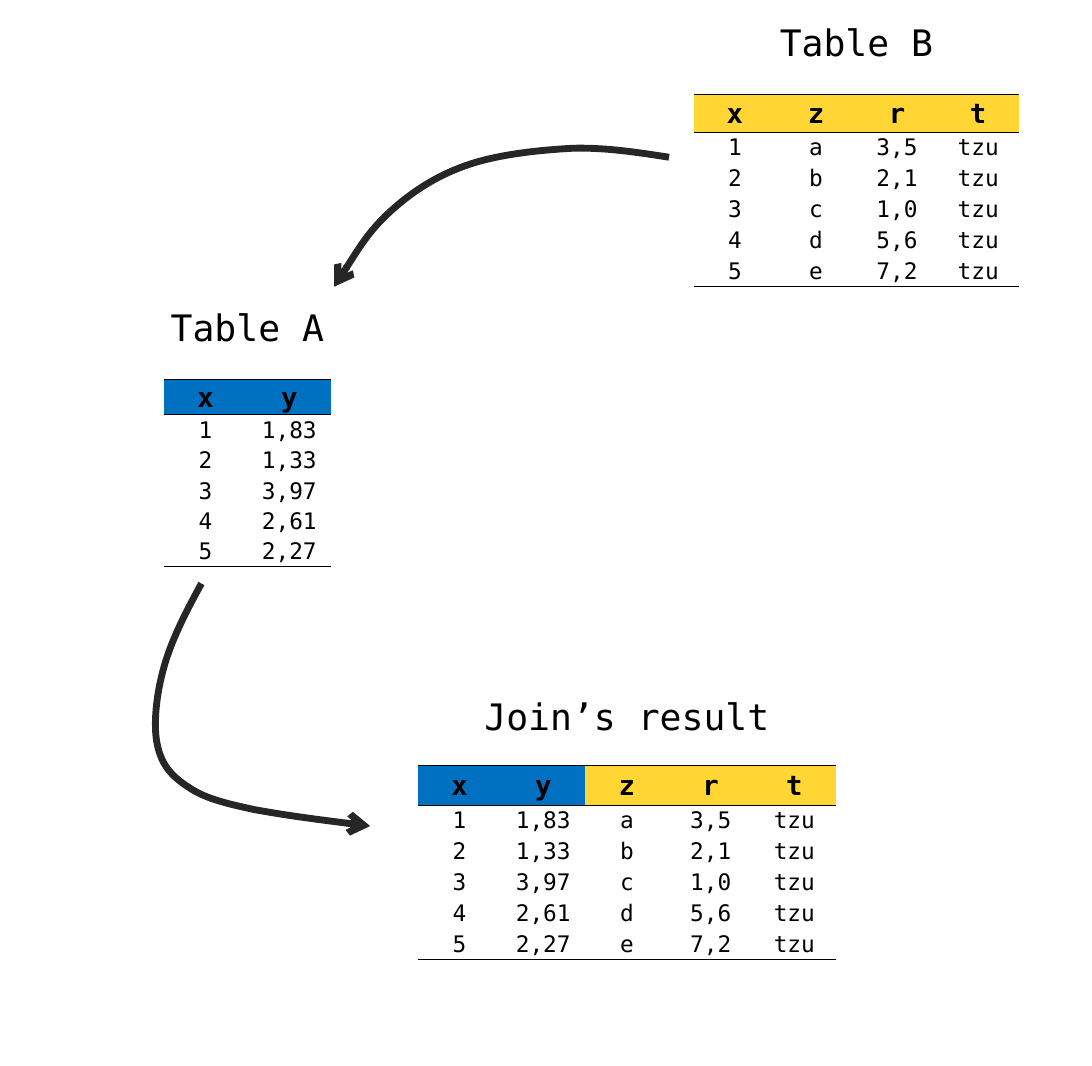
from dataclasses import dataclass

from lxml.etree import SubElement
from pptx import Presentation
from pptx.dml.color import RGBColor
from pptx.enum.text import MSO_ANCHOR, MSO_AUTO_SIZE, PP_ALIGN
from pptx.oxml.ns import qn
from pptx.util import Pt

FONT = "DejaVu Sans Mono"
BLACK, BLUE, GOLD, DARK = "000000", "0070C0", "FFD633", "262626"
Point = tuple[float, float]


@dataclass
class Grid:
    title: str
    left: float
    top: float
    gap: float
    col: float
    head: float
    row: float
    fills: list[str]
    cells: list[list[str]]


@dataclass
class Arrow:
    points: list[Point]


LEFT = [
    ["x", "y"],
    ["1", "1,83"],
    ["2", "1,33"],
    ["3", "3,97"],
    ["4", "2,61"],
    ["5", "2,27"],
]
RIGHT = [
    ["x", "z", "r", "t"],
    ["1", "a", "3,5", "tzu"],
    ["2", "b", "2,1", "tzu"],
    ["3", "c", "1,0", "tzu"],
    ["4", "d", "5,6", "tzu"],
    ["5", "e", "7,2", "tzu"],
]
JOINED = [a + b[1:] for a, b in zip(LEFT, RIGHT)]

GRIDS = [
    Grid("Table A", 143.8, 333.5, 69, 73.7, 31.1, 26.65, [BLUE] * 2, LEFT),
    Grid("Table B", 610.4, 82.9, 69, 71.3, 33.1, 27.1, [GOLD] * 4, RIGHT),
    Grid("Join’s result", 367.2, 672.7, 66.2, 73.6, 34.7, 27.2,
         [BLUE] * 2 + [GOLD] * 3, JOINED),
]

ARROWS = [
    Arrow([
        (588.2, 138.2),
        (560.2, 133.9), (532.8, 129.6), (504, 130.3),
        (475.2, 131.8), (440.6, 135.4), (414, 144),
        (387.4, 152.6), (365, 166.3), (344.9, 184.3),
        (324.7, 202.3), (309.6, 227.5), (293.8, 252),
    ]),
    Arrow([
        (177.1, 512.8),
        (163.4, 537.8), (150.5, 563), (144, 586.8),
        (137.5, 609.8), (134.6, 636.5), (138.2, 653.8),
        (141.8, 671.8), (150.5, 681.8), (164.9, 691.2),
        (179.3, 701.3), (196.6, 705.6), (223.2, 711.4),
        (250.6, 716.4), (288, 721.4), (325.4, 725.9),
    ]),
]


def paint(color, value: str) -> None:
    color.rgb = RGBColor.from_string(value)


def write(frame, text: str, *, size: float, bold: bool = False) -> None:
    para = frame.paragraphs[0]
    para.alignment = PP_ALIGN.CENTER
    run = para.add_run()
    run.text = text
    run.font.name = FONT
    run.font.size = Pt(size)
    run.font.bold = bold
    paint(run.font.color, BLACK)


def edge(cell, widths: dict[str, float]) -> None:
    props = cell._tc.get_or_add_tcPr()
    for side in "LRTB":
        line = SubElement(props, qn(f"a:ln{side}"))
        if side in widths:
            line.set("w", str(Pt(widths[side])))
            fill = SubElement(line, qn("a:solidFill"))
            SubElement(fill, qn("a:srgbClr")).set("val", BLACK)
        else:
            SubElement(line, qn("a:noFill"))


def draw_grid(slide, grid: Grid) -> None:
    rows, cols = len(grid.cells), len(grid.fills)
    wide = cols * grid.col
    tall = grid.head + (rows - 1) * grid.row
    table = slide.shapes.add_table(
        rows, cols, Pt(grid.left), Pt(grid.top), Pt(wide), Pt(tall)).table
    table.first_row = table.horz_banding = False
    for col in table.columns:
        col.width = Pt(grid.col)
    borders = {0: {"T": 0.5, "B": 1}, 1: {"T": 1}, rows - 1: {"B": 1}}
    for i, values in enumerate(grid.cells):
        table.rows[i].height = Pt(grid.row if i else grid.head)
        for j, text in enumerate(values):
            cell = table.cell(i, j)
            cell.margin_left = cell.margin_right = cell.margin_top = Pt(0.72)
            cell.margin_bottom = 0
            cell.vertical_anchor = MSO_ANCHOR.MIDDLE
            edge(cell, borders.get(i, {}))
            if i:
                cell.fill.background()
            else:
                cell.fill.solid()
                paint(cell.fill.fore_color, grid.fills[j])
            write(cell.text_frame, text, size=20 if i else 24, bold=i == 0)


def draw_title(slide, grid: Grid) -> None:
    width = 300
    mid = grid.left + len(grid.fills) * grid.col / 2
    box = slide.shapes.add_textbox(
        Pt(mid - width / 2), Pt(grid.top - grid.gap), Pt(width), Pt(46))
    box.text_frame.word_wrap = True
    box.text_frame.auto_size = MSO_AUTO_SIZE.SHAPE_TO_FIT_TEXT
    write(box.text_frame, grid.title, size=32)


def draw_arrow(slide, arrow: Arrow) -> None:
    first, *rest = [(Pt(x), Pt(y)) for x, y in arrow.points]
    form = slide.shapes.build_freeform(*first)
    form.add_line_segments(rest, close=False)
    shape = form.convert_to_shape()
    shape.shadow.inherit = False
    shape.fill.background()
    shape.line.width = Pt(6)
    paint(shape.line.color, DARK)
    line = shape.element.spPr.find(qn("a:ln"))
    SubElement(line, qn("a:tailEnd")).set("type", "arrow")
    route = next(shape.element.iter(qn("a:path")))
    steps = route.findall(qn("a:lnTo"))
    for i in range(0, len(steps), 3):
        curve = SubElement(route, qn("a:cubicBezTo"))
        for step in steps[i:i + 3]:
            curve.append(step[0])
            route.remove(step)


def main() -> None:
    deck = Presentation()
    deck.slide_width, deck.slide_height = Pt(960), Pt(936.75)
    slide = deck.slides.add_slide(deck.slide_layouts[6])
    for grid in GRIDS:
        draw_grid(slide, grid)
        draw_title(slide, grid)
    for arrow in ARROWS:
        draw_arrow(slide, arrow)
    deck.save("out.pptx")


if __name__ == "__main__":
    main()
